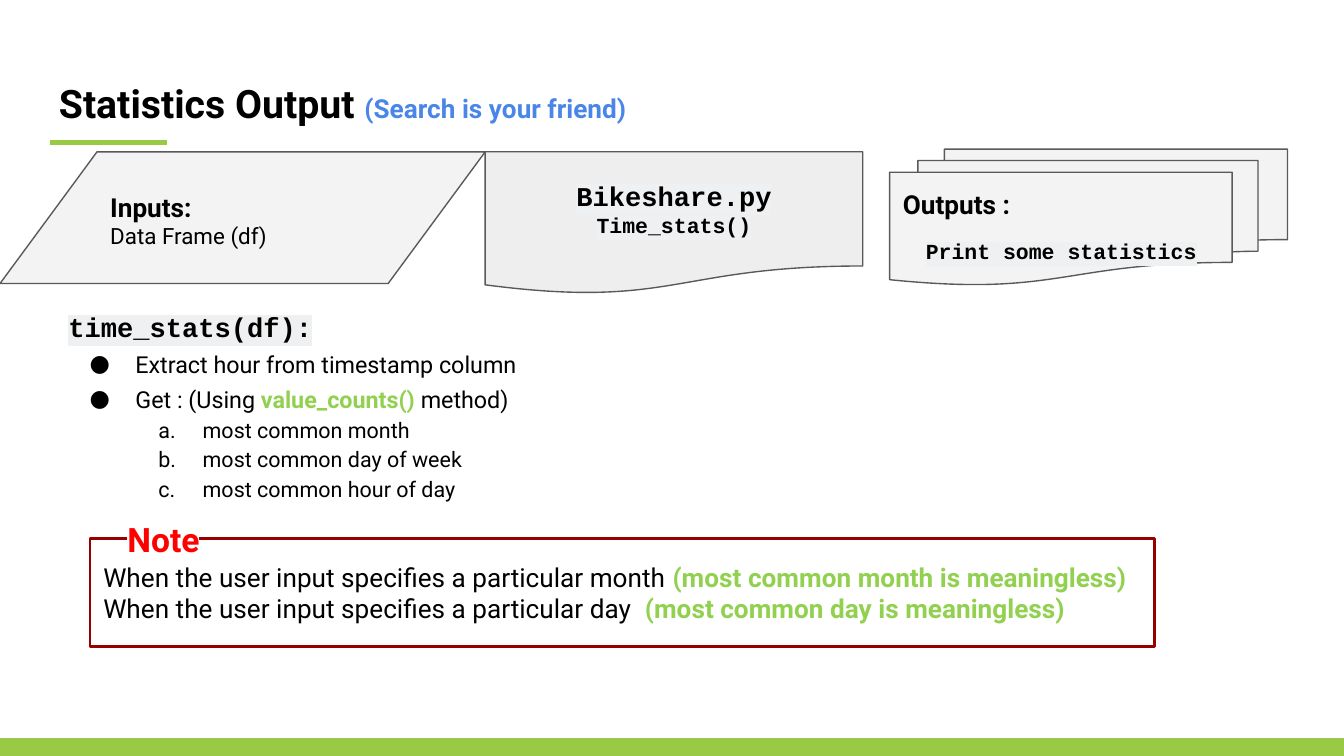
"""Build the statistics output slide with its flow shapes, steps and note."""
from lxml import etree
from pptx import Presentation
from pptx.dml.color import RGBColor
from pptx.enum.shapes import MSO_CONNECTOR, MSO_SHAPE
from pptx.enum.text import MSO_ANCHOR, PP_ALIGN
from pptx.oxml.ns import qn
from pptx.util import Inches, Pt

STRAIGHT = MSO_CONNECTOR.STRAIGHT
RECTANGLE = MSO_SHAPE.RECTANGLE
DOCUMENT = MSO_SHAPE.FLOWCHART_DOCUMENT
MULTIDOCUMENT = MSO_SHAPE.FLOWCHART_MULTIDOCUMENT
DATA = MSO_SHAPE.FLOWCHART_DATA
TOP, MIDDLE = MSO_ANCHOR.TOP, MSO_ANCHOR.MIDDLE
LEFT, CENTER = PP_ALIGN.LEFT, PP_ALIGN.CENTER

THEME = {
    "black": "000000", "blue": "4A86E8", "bar": "99CA45", "green": "92D050",
    "red": "FF0000", "dark red": "980000", "outline": "595959", "white": "FFFFFF",
    "panel": "F3F3F3", "document": "EEEEEE", "code": "EFF0F1",
    "sans": "Roboto", "mono": "Courier New",
    "title": 21, "note": 18, "function": 14.5, "body": 14,
    "bullet": 12.5, "detail": 12, "small": 11.5,
}


def add_box(kind, left, top, width, height, fill, outline, weight=0.75):
    shape = slide.shapes.add_shape(
        kind, Inches(left), Inches(top), Inches(width), Inches(height))
    shape.shadow.inherit = False
    shape.fill.solid()
    shape.fill.fore_color.rgb = RGBColor.from_string(THEME[fill])
    shape.line.color.rgb = RGBColor.from_string(THEME[outline])
    shape.line.width = Pt(weight)
    return shape


def write(shape, lines, anchor=TOP, align=LEFT, inset=0.1):
    frame = shape.text_frame
    frame.word_wrap = True
    frame.vertical_anchor = anchor
    frame.margin_left = frame.margin_right = Inches(0.1)
    frame.margin_top = frame.margin_bottom = Inches(inset)
    for index, line in enumerate(lines):
        paragraph = frame.add_paragraph() if index else frame.paragraphs[0]
        paragraph.alignment = align
        for text, size, colour, bold, font, highlight in line:
            run = paragraph.add_run()
            run.text = text
            run.font.size = Pt(THEME[size])
            run.font.bold = bold
            run.font.color.rgb = RGBColor.from_string(THEME[colour])
            if highlight:
                mark = etree.SubElement(run.font._element, qn("a:highlight"))
                etree.SubElement(mark, qn("a:srgbClr"), val=THEME[highlight])
            run.font.name = THEME[font]
    return frame.paragraphs


presentation = Presentation()
presentation.slide_width = Inches(10)
presentation.slide_height = Inches(10) * 9 // 16
slide = presentation.slides.add_slide(presentation.slide_layouts[6])

title = slide.shapes.add_textbox(Inches(0.34), Inches(0.49), Inches(9.32), Inches(0.63))
write(title, [[
    ("Statistics Output ", "title", "black", True, "sans", None),
    ("(Search is your friend)", "body", "blue", True, "sans", None),
]])

underline = slide.shapes.add_connector(
    STRAIGHT, Inches(0.37), Inches(1.06), Inches(1.24), Inches(1.06))
underline.line.color.rgb = RGBColor.from_string(THEME["bar"])
underline.line.width = Pt(3)
etree.SubElement(underline._element.spPr, qn("a:effectLst"))

add_box(RECTANGLE, 0, 5.5, 10, 0.12, "bar", "bar")

outputs = add_box(MULTIDOCUMENT, 6.62, 1.11, 2.96, 1.01, "panel", "outline")
heading, detail = write(outputs, [
    [("Outputs :", "body", "black", True, "sans", None)],
    [("Print some statistics", "small", "black", True, "mono", "code")],
], MIDDLE)
detail.space_before = Pt(10)
detail._p.get_or_add_pPr().set("marL", str(Inches(0.17)))

inputs = add_box(DATA, 0, 1.13, 3.61, 0.98, "panel", "outline")
heading, detail = write(inputs, [
    [("Inputs:", "body", "black", True, "sans", None)],
    [("Data Frame (df)", "detail", "black", False, "sans", None)],
], MIDDLE)
heading.line_spacing = 1.15

program = add_box(DOCUMENT, 3.61, 1.13, 2.81, 1.06, "document", "outline")
write(program, [
    [("Bikeshare.py", "function", "black", True, "mono", "code")],
    [("Time_stats()", "small", "black", True, "mono", "code")],
], MIDDLE, CENTER)

steps = slide.shapes.add_textbox(Inches(0.41), Inches(2.15), Inches(9.17), Inches(1.66))
results = ["most common month", "most common day of week", "most common hour of day"]
heading, *items = write(steps, [
    [("time_stats(df):", "function", "black", True, "mono", "code")],
    [("Extract hour from timestamp column", "bullet", "black", False, "sans", None)],
    [("Get : (Using ", "bullet", "black", False, "sans", None),
     ("value_counts()", "bullet", "green", True, "sans", None),
     (" method)", "bullet", "black", False, "sans", None)],
    *[[(result, "small", "black", False, "sans", None)] for result in results],
])
heading.line_spacing = 1.25
for index, item in enumerate(items):
    nested = index >= 2
    item.level = int(nested)
    item.line_spacing = 1.15 if nested else 1.25
    properties = item._p.get_or_add_pPr()
    properties.set("marL", str(Inches(1 if nested else 0.5)))
    properties.set("indent", str(Inches(-0.33 if nested else -0.34)))
    bullet_colour = etree.SubElement(properties, qn("a:buClr"))
    etree.SubElement(bullet_colour, qn("a:srgbClr"), val=THEME["black"])
    etree.SubElement(properties, qn("a:buFont"), typeface=THEME["sans"])
    if nested:
        etree.SubElement(properties, qn("a:buAutoNum"), type="alphaLcPeriod")
    else:
        etree.SubElement(properties, qn("a:buChar"), char="●")

note = add_box(RECTANGLE, 0.67, 4.01, 7.92, 0.8, "white", "dark red", 1.5)
cases = [
    ("When the user input specifies a particular month ", "(most common month is meaningless)"),
    ("When the user input specifies a particular day  ", "(most common day is meaningless)"),
]
write(note, [
    [(condition, "body", "black", False, "sans", None),
     (remark, "body", "green", True, "sans", None)]
    for condition, remark in cases
], MIDDLE)

note_label = slide.shapes.add_textbox(Inches(0.85), Inches(3.81), Inches(1.33), Inches(0.4))
write(note_label, [[("Note", "note", "red", True, "sans", "white")]], inset=0.05)

presentation.save("out.pptx")
